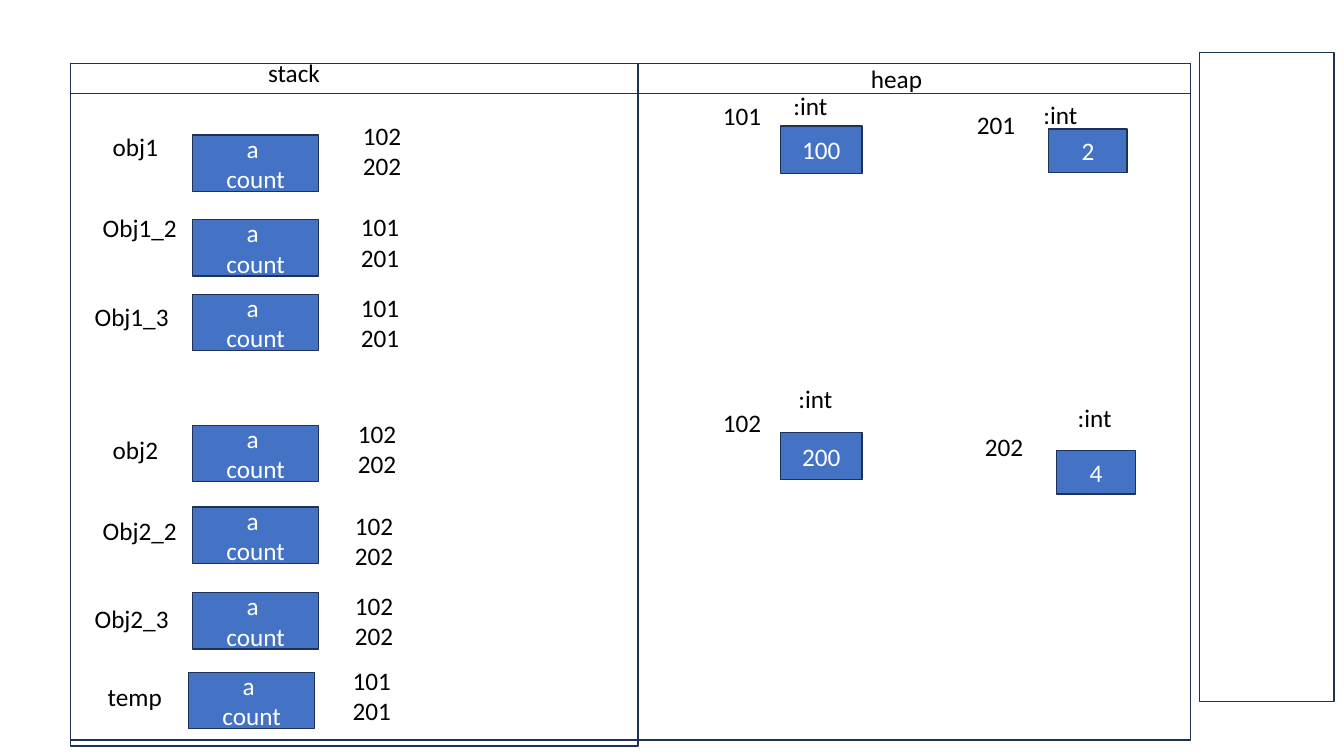
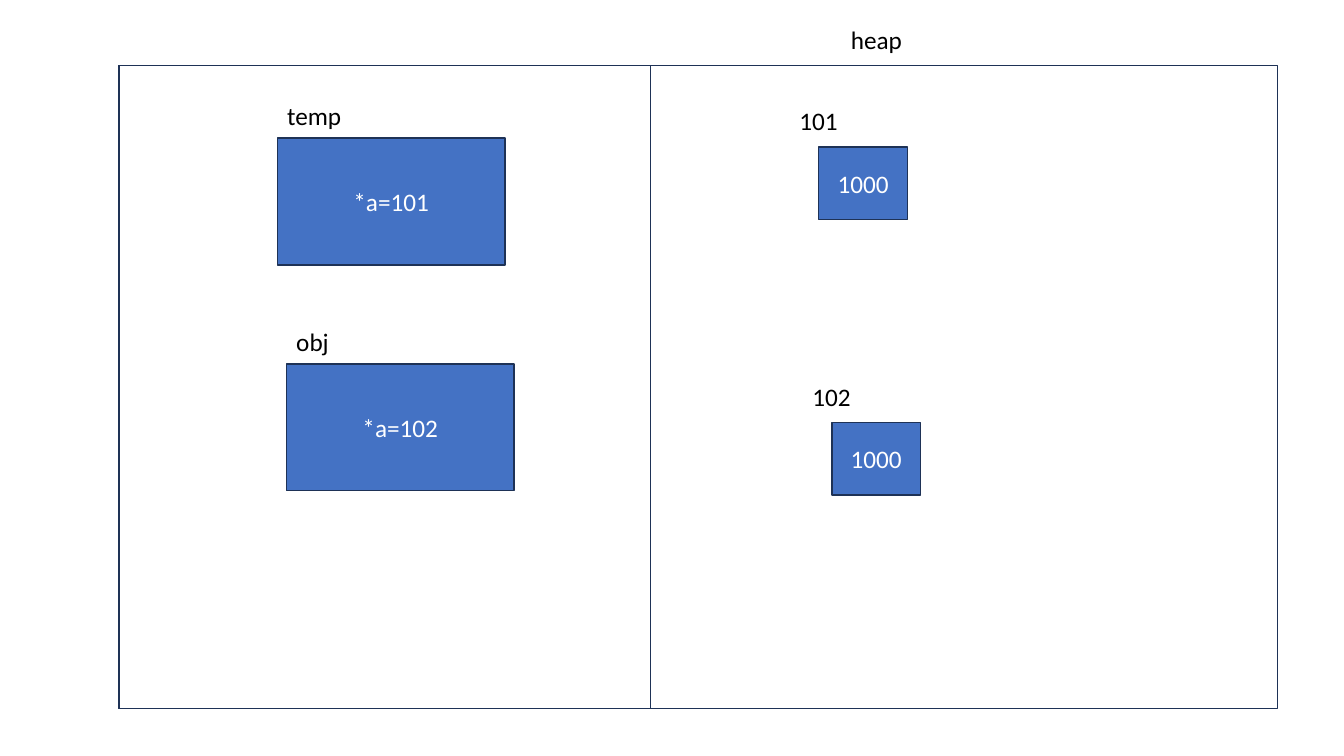
import pptx
import pptx.dml.color
import pptx.enum.shapes
import pptx.enum.text
import pptx.util

Inches = pptx.util.Inches
RGBColor = pptx.dml.color.RGBColor

BLUE = RGBColor(0x44, 0x72, 0xC4)
NAVY = RGBColor(0x1E, 0x32, 0x56)
BLACK = RGBColor(0, 0, 0)
WHITE = RGBColor(0xFF, 0xFF, 0xFF)

NUMBER_WIDTH = 0.59
TYPE_WIDTH = 0.54
HEADING_WIDTH = 0.72
OBJECT_SIZE = (1.25, 0.56)
POINTER_SIZE = (2.26, 1.26)
TARGET_SIZE = (0.88, 0.72)


class MemoryDiagram:
    font_name = "Calibri"
    font_size = pptx.util.Pt(18)
    line_width = pptx.util.Pt(1)

    def __init__(self):
        self.deck = pptx.Presentation()
        self.deck.slide_width = Inches(13.33)
        self.deck.slide_height = Inches(7.5)
        self.slide = None

    def new_slide(self):
        self.slide = self.deck.slides.add_slide(self.deck.slide_layouts[6])

    def fill_text(self, frame, lines, color, alignment):
        for index, line in enumerate(lines):
            para = frame.add_paragraph() if index else frame.paragraphs[0]
            para.text = line
            para.alignment = alignment
            para.font.name = self.font_name
            para.font.size = self.font_size
            para.font.color.rgb = color

    def frame(self, left, top, width, height):
        box = self.slide.shapes.add_shape(
            pptx.enum.shapes.MSO_SHAPE.RECTANGLE,
            Inches(left), Inches(top), Inches(width), Inches(height))
        box.shadow.inherit = False
        box.fill.background()
        box.line.color.rgb = NAVY
        box.line.width = self.line_width
        return box

    def cell(self, left, top, size, *lines):
        box = self.frame(left, top, *size)
        box.fill.solid()
        box.fill.fore_color.rgb = BLUE
        box.text_frame.vertical_anchor = pptx.enum.text.MSO_ANCHOR.MIDDLE
        self.fill_text(box.text_frame, lines, WHITE, pptx.enum.text.PP_ALIGN.CENTER)

    def label(self, left, top, width, *lines):
        box = self.slide.shapes.add_textbox(
            Inches(left), Inches(top), Inches(width), Inches(0.1 + 0.3 * len(lines)))
        box.text_frame.word_wrap = False
        box.text_frame.auto_size = pptx.enum.text.MSO_AUTO_SIZE.SHAPE_TO_FIT_TEXT
        self.fill_text(box.text_frame, lines, BLACK, pptx.enum.text.PP_ALIGN.LEFT)

    def stack_object(self, name, name_at, name_width, box_at, addresses, addresses_at):
        self.cell(*box_at, OBJECT_SIZE, "a ", "count")
        self.label(*name_at, name_width, name)
        self.label(*addresses_at, NUMBER_WIDTH, *addresses)

    def heap_integer(self, value, box_at, size, address, address_at, type_at):
        self.cell(*box_at, size, value)
        self.label(*address_at, NUMBER_WIDTH, address)
        self.label(*type_at, TYPE_WIDTH, ":int")

    def captioned_cell(self, value, box_at, size, caption, caption_shift, caption_width):
        left, top = box_at
        self.cell(left, top, size, value)
        self.label(left + caption_shift[0], top + caption_shift[1], caption_width, caption)


def build_objects_slide(diagram):
    diagram.new_slide()
    diagram.frame(0.7, 0.63, 11.11, 6.71)
    diagram.frame(0.7, 0.63, 5.63, 6.77)
    diagram.frame(0.7, 0.63, 11.11, 0.3)
    diagram.frame(11.9, 0.52, 1.33, 6.44)
    diagram.label(2.56, 0.52, HEADING_WIDTH, "stack")
    diagram.label(8.54, 0.58, HEADING_WIDTH, "heap")

    first = ("101", "201")
    second = ("102", "202")
    for stack_object in (
        ("obj1", (1.02, 1.25), 0.66, (1.91, 1.34), second, (3.5, 1.14)),
        ("Obj1_2", (0.92, 2.06), 0.94, (1.91, 2.18), first, (3.48, 2.05)),
        ("Obj1_3", (0.84, 2.94), 0.94, (1.91, 2.92), first, (3.48, 2.85)),
        ("obj2", (1.02, 4.26), 0.66, (1.91, 4.22), second, (3.45, 4.1)),
        ("Obj2_2", (0.92, 5.06), 0.94, (1.91, 5.03), second, (3.42, 5.01)),
        ("Obj2_3", (0.84, 5.94), 0.94, (1.91, 5.88), second, (3.42, 5.81)),
        ("temp", (0.97, 6.71), 0.74, (1.87, 6.67), first, (3.4, 6.55)),
    ):
        diagram.stack_object(*stack_object)

    value_size = (0.81, 0.47)
    count_size = (0.78, 0.43)
    for heap_integer in (
        ("100", (7.74, 1.25), value_size, "101", (7.07, 0.95), (7.77, 0.85)),
        ("200", (7.74, 4.29), value_size, "102", (7.07, 3.99), (7.82, 3.75)),
        ("2", (10.4, 1.28), count_size, "201", (9.59, 1.04), (10.25, 0.94)),
        ("4", (10.48, 4.47), count_size, "202", (9.67, 4.23), (10.59, 3.94)),
    ):
        diagram.heap_integer(*heap_integer)


def build_pointers_slide(diagram):
    diagram.new_slide()
    diagram.frame(1.18, 0.65, 11.49, 6.38)
    diagram.frame(1.18, 0.65, 5.27, 6.38)
    diagram.label(8.34, 0.19, HEADING_WIDTH, "heap")

    pointer_shift = (0, -0.42)
    target_shift = (-0.29, -0.46)
    for captioned_cell in (
        ("*a=101", (2.75, 1.37), POINTER_SIZE, "temp", pointer_shift, 0.74),
        ("*a=102", (2.84, 3.61), POINTER_SIZE, "obj", pointer_shift, 0.53),
        ("1000", (8.12, 1.46), TARGET_SIZE, "101", target_shift, NUMBER_WIDTH),
        ("1000", (8.25, 4.19), TARGET_SIZE, "102", target_shift, NUMBER_WIDTH),
    ):
        diagram.captioned_cell(*captioned_cell)


def main():
    diagram = MemoryDiagram()
    build_objects_slide(diagram)
    build_pointers_slide(diagram)
    diagram.deck.save("out.pptx")


if __name__ == "__main__":
    main()
